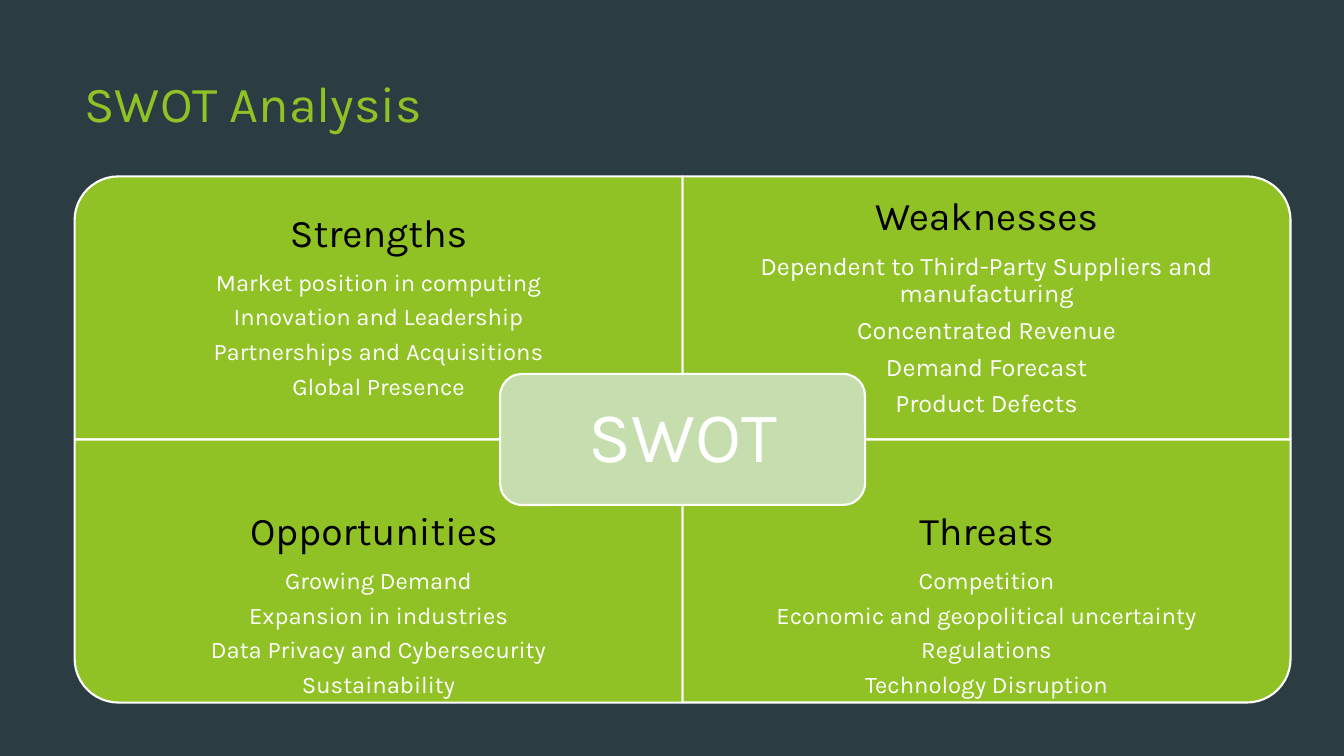
from dataclasses import dataclass

from pptx import Presentation
from pptx.dml.color import RGBColor
from pptx.enum.shapes import MSO_SHAPE
from pptx.enum.text import MSO_ANCHOR, PP_ALIGN
from pptx.util import Inches, Pt


@dataclass(frozen=True)
class Theme:
    font: str = "Karla"
    background: str = "2C3C43"
    green: str = "90C226"
    pale_green: str = "C6DDAD"
    white: str = "FFFFFF"
    black: str = "000000"
    title_size: int = 36
    heading_size: int = 28
    item_size: int = 17
    large_item_size: int = 18
    center_size: int = 51
    outline: float = 1.5


theme = Theme()

prs = Presentation()
prs.slide_width, prs.slide_height = Inches(13.33), Inches(7.5)
slide = prs.slides.add_slide(prs.slide_layouts[6])
slide.background.fill.solid()
slide.background.fill.fore_color.rgb = RGBColor.from_string(theme.background)


def add_text(lines, left, top, width, height, *, align=PP_ALIGN.CENTER,
             anchor=MSO_ANCHOR.TOP, side=0.22, inset_top=0.0, inset_bottom=0.0,
             spacing=0.9, after=0.375):
    """Each line is (text, size, color); after is a share of the type size."""
    frame = slide.shapes.add_textbox(
        Inches(left), Inches(top), Inches(width), Inches(height)).text_frame
    frame.word_wrap = True
    frame.vertical_anchor = anchor
    frame.margin_left = frame.margin_right = Inches(side)
    frame.margin_top, frame.margin_bottom = Inches(inset_top), Inches(inset_bottom)
    for index, (text, size, color) in enumerate(lines):
        paragraph = frame.paragraphs[0] if index == 0 else frame.add_paragraph()
        paragraph.alignment = align
        paragraph.line_spacing = spacing
        paragraph.space_after = Pt(round(size * after, 1))
        run = paragraph.add_run()
        run.text = text
        run.font.name = theme.font
        run.font.size = Pt(size)
        run.font.color.rgb = RGBColor.from_string(color)


def add_panel(preset, left, top, width, height, color, rotation=0):
    panel = slide.shapes.add_shape(
        preset, Inches(left), Inches(top), Inches(width), Inches(height))
    panel.rotation = rotation
    panel.shadow.inherit = False
    panel.fill.solid()
    panel.fill.fore_color.rgb = RGBColor.from_string(color)
    panel.line.color.rgb = RGBColor.from_string(theme.white)
    panel.line.width = Pt(theme.outline)


add_text([("SWOT Analysis", theme.title_size, theme.green)], 0.74, 0.67, 9.4, 1.44,
         align=PP_ALIGN.LEFT, side=0.1, inset_top=0.05, spacing=1.0, after=0)

MATRIX_LEFT, MATRIX_TOP = 0.74, 1.75
QUADRANT_W, QUADRANT_H = 6.03, 2.61
TEXT_H = 1.96

# heading, column, row, rotation of the rounded corner, text inset, item size, items
quadrants = [
    ("Strengths", 0, 0, 270, 0.37, theme.item_size,
     ["Market position in computing", "Innovation and Leadership",
      "Partnerships and Acquisitions", "Global Presence"]),
    ("Weaknesses", 1, 0, 0, 0.2, theme.large_item_size,
     ["Dependent to Third-Party Suppliers and manufacturing",
      "Concentrated Revenue", "Demand Forecast", "Product Defects"]),
    ("Opportunities ", 0, 1, 180, 0.07, theme.item_size,
     ["Growing Demand", "Expansion in industries",
      "Data Privacy and Cybersecurity", "Sustainability"]),
    ("Threats", 1, 1, 90, 0.07, theme.item_size,
     ["Competition", "Economic and geopolitical uncertainty",
      "Regulations", "Technology Disruption"]),
]

for heading, column, row, rotation, inset, item_size, items in quadrants:
    left = MATRIX_LEFT + column * QUADRANT_W
    top = MATRIX_TOP + row * QUADRANT_H
    # A quarter turn swaps the sides around the same centre
    sideways = rotation in (90, 270)
    width, height = (QUADRANT_H, QUADRANT_W) if sideways else (QUADRANT_W, QUADRANT_H)
    add_panel(MSO_SHAPE.ROUND_1_RECTANGLE, left + (QUADRANT_W - width) / 2,
              top + (QUADRANT_H - height) / 2, width, height, theme.green, rotation)
    lines = [(heading, theme.heading_size, theme.black)]
    lines += [(item, item_size, theme.white) for item in items]
    add_text(lines, left, top + row * (QUADRANT_H - TEXT_H), QUADRANT_W, TEXT_H,
             inset_top=inset)

add_panel(MSO_SHAPE.ROUNDED_RECTANGLE, 4.96, 3.71, 3.62, 1.3, theme.pale_green)
add_text([("SWOT", theme.center_size, theme.white)], 5.03, 3.77, 3.49, 1.18,
         anchor=MSO_ANCHOR.MIDDLE, side=0.21, inset_top=0.21, inset_bottom=0.21)

prs.save("out.pptx")
